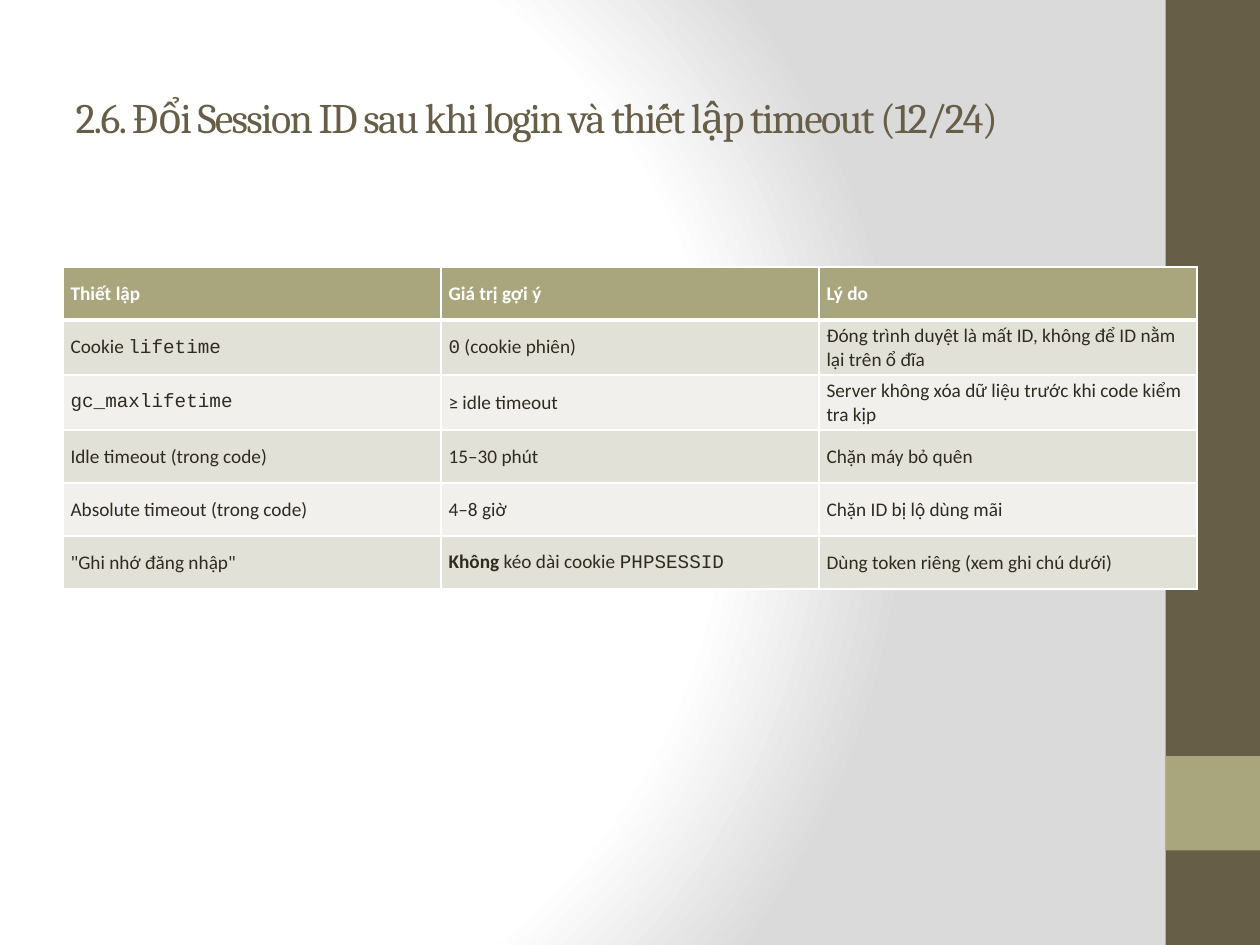
"""Build the slide on session ID renewal and timeout settings."""
from pptx import Presentation, util as u
from pptx.dml.color import RGBColor
from pptx.enum import shapes, text
from pptx.oxml import parse_xml
from pptx.oxml.ns import nsdecls


def paint(fill, hue):
    fill.solid()
    fill.fore_color.rgb = RGBColor.from_string(hue)


def edge(cell, top, base):
    sides = [("lnL", 1), ("lnR", 1), ("lnT", top), ("lnB", base)]
    for spot, (tag, width) in enumerate(sides):
        line = parse_xml(
            f'<a:{tag} {nsdecls("a")} w="{u.Pt(width)}"><a:solidFill>'
            f'<a:srgbClr val="FFFFFF"/></a:solidFill></a:{tag}>')
        cell._tc.get_or_add_tcPr().insert(spot, line)


deck = Presentation()
deck.slide_width, deck.slide_height = u.Inches(10), u.Inches(7.5)
slide = deck.slides.add_slide(deck.slide_layouts[5])

stops = "".join(
    f'<a:gs pos="{pos}"><a:srgbClr val="{hue}"/></a:gs>'
    for pos, hue in [(0, "FFFFFF"), (75000, "FFFFFF"), (100000, "DADADA")])
slide.element.cSld.insert(0, parse_xml(
    f'<p:bg {nsdecls("p", "a")}><p:bgPr><a:gradFill rotWithShape="1">'
    f'<a:gsLst>{stops}</a:gsLst><a:path path="circle">'
    '<a:fillToRect l="20000" t="50000" r="100000" b="50000"/></a:path>'
    '</a:gradFill><a:effectLst/></p:bgPr></p:bg>'))

for top, high, hue in [(0, 7.5, "675E47"), (6, 0.75, "A9A57C")]:
    bar = slide.shapes.add_shape(
        shapes.MSO_SHAPE.RECTANGLE, u.Inches(9.25), u.Inches(top),
        u.Inches(0.75), u.Inches(high))
    bar.shadow.inherit = False
    paint(bar.fill, hue)
    bar.line.fill.background()

title = slide.shapes.title
title.left, title.top = u.Inches(0.5), u.Inches(0.3)
title.width, title.height = u.Inches(8.33), u.Inches(1.25)
frame = title.text_frame
frame.text = "2.6. Đổi Session ID sau khi login và thiết lập timeout (12/24)"
frame.vertical_anchor = text.MSO_ANCHOR.MIDDLE
frame.paragraphs[0].alignment = text.PP_ALIGN.LEFT
font = frame.paragraphs[0].runs[0].font
font.name, font.size = "Cambria", u.Pt(24)
paint(font.fill, "675E47")
font._element.set("spc", "-100")

# `code` and *bold* mark runs inside a cell
rows = [
    ["*Thiết lập*", "*Giá trị gợi ý*", "*Lý do*"],
    ["Cookie `lifetime`", "`0` (cookie phiên)",
     "Đóng trình duyệt là mất ID, không để ID nằm lại trên ổ đĩa"],
    ["`gc_maxlifetime`", "≥ idle timeout",
     "Server không xóa dữ liệu trước khi code kiểm tra kịp"],
    ["Idle timeout (trong code)", "15–30 phút", "Chặn máy bỏ quên"],
    ["Absolute timeout (trong code)", "4–8 giờ", "Chặn ID bị lộ dùng mãi"],
    ['"Ghi nhớ đăng nhập"', "*Không* kéo dài cookie `PHPSESSID`",
     "Dùng token riêng (xem ghi chú dưới)"],
]
table = slide.shapes.add_table(
    len(rows), 3, u.Inches(0.5), u.Inches(2.12),
    u.Inches(9), u.Inches(0.42 * len(rows))).table

for r, row in enumerate(rows):
    back = "A9A57C" if r == 0 else ("F1F0EC", "E2E1D7")[r % 2]
    for c, words in enumerate(row):
        cell = table.cell(r, c)
        paint(cell.fill, back)
        edge(cell, 3 if r == 1 else 1, 3 if r == 0 else 1)
        cell.vertical_anchor = text.MSO_ANCHOR.MIDDLE
        cell.margin_left = cell.margin_right = u.Inches(0.06)
        cell.margin_top = cell.margin_bottom = u.Inches(0.03)
        para = cell.text_frame.paragraphs[0]
        for i, part in enumerate(words.split("`")):
            for j, piece in enumerate(part.split("*")):
                if not piece:
                    continue
                run = para.add_run()
                run.text = piece
                run.font.name = "Courier New" if i % 2 else "Calibri"
                run.font.size = u.Pt(11)
                run.font.bold = j % 2 == 1
                paint(run.font.fill, "2F2B20" if r else "FFFFFF")

deck.save("out.pptx")
